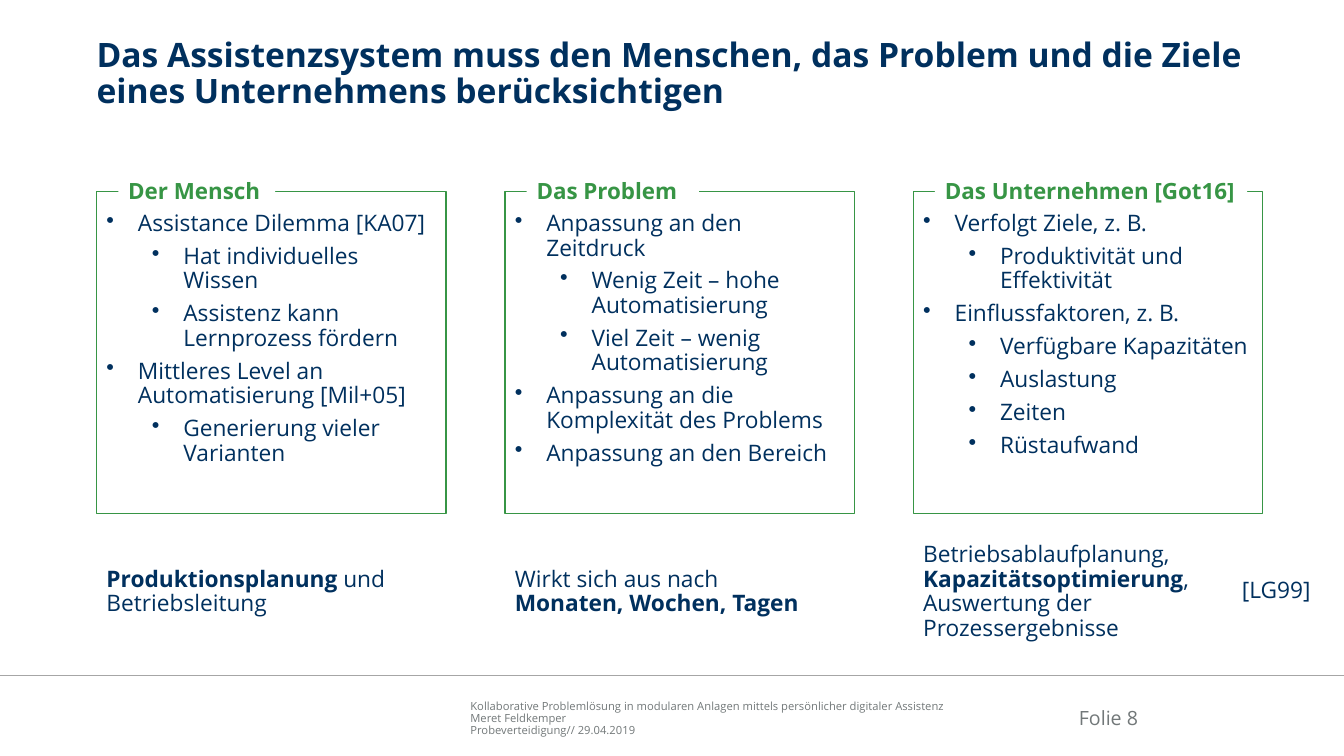
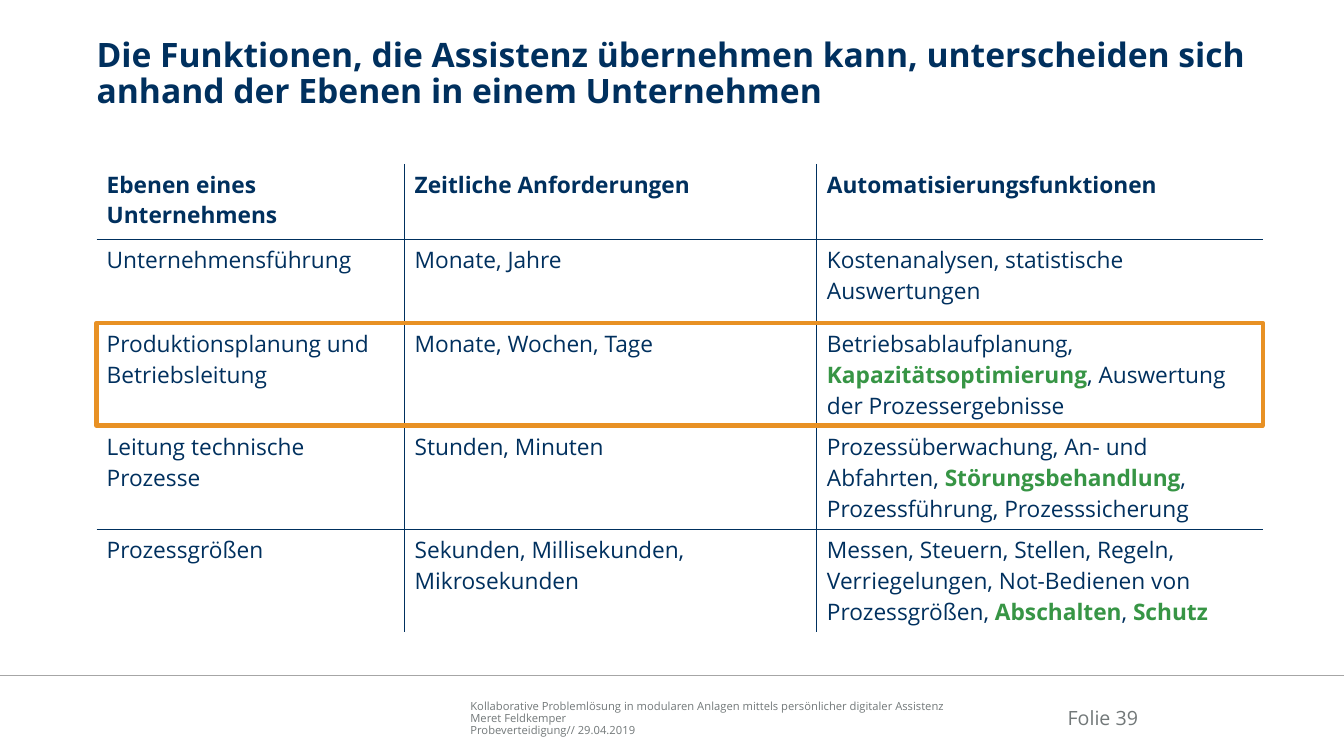
from lxml.etree import SubElement
from pptx import Presentation
from pptx.dml.color import RGBColor
from pptx.enum.shapes import MSO_CONNECTOR as Connector, MSO_SHAPE as Preset
from pptx.enum.text import MSO_ANCHOR as Anchor, PP_ALIGN as Align
from pptx.oxml.ns import qn
from pptx.util import Pt

COLORS = {"navy": "00305E", "green": "379545", "orange": "E89124",
          "gray": "727879", "rule": "A6A6A6", "white": "FFFFFF"}
FONT = "Open Sans"
SLIDE_SIZE = (960, 540)
LEFT, CONTENT_WIDTH = 69, 833
BULLET_HANG, BULLET_STEP = 22.5, 32.4
NO_INSETS = (0, 0, 0, 0)
TEXT_INSETS = (7.2, 3.6, 7.2, 3.6)
CARD_INSETS = (7.2, 14.4, 7.2, 3.6)

STYLES = {
    "title": {"size": Pt(24), "bold": True, "color": "navy"},
    "label": {"size": Pt(16), "bold": True, "color": "green"},
    "body": {"size": Pt(16.2), "bold": False, "color": "navy"},
    "heading": {"size": Pt(16.2), "bold": True, "color": "navy"},
    "footer": {"size": Pt(8), "bold": False, "color": "gray"},
    "number": {"size": Pt(14), "bold": False, "color": "gray"},
}
STRONG = {"bold": True}
GREEN_STRONG = {"bold": True, "color": "green"}

FOOTER = [
    "Kollaborative Problemlösung in modularen Anlagen mittels persönlicher digitaler Assistenz",
    "Meret Feldkemper",
    "Probeverteidigung// 29.04.2019",
]

CARDS = [
    ("Der Mensch", 112, [
        (0, "Assistance Dilemma [KA07]"),
        (1, "Hat individuelles Wissen"),
        (1, "Assistenz kann Lernprozess fördern"),
        (0, "Mittleres Level an Automatisierung [Mil+05]"),
        (1, "Generierung vieler Varianten"),
    ], "*Produktionsplanung* und\nBetriebsleitung"),
    ("Das Problem", 123, [
        (0, "Anpassung an den Zeitdruck"),
        (1, "Wenig Zeit – hohe Automatisierung"),
        (1, "Viel Zeit – wenig Automatisierung"),
        (0, "Anpassung an die Komplexität des Problems"),
        (0, "Anpassung an den Bereich"),
    ], "Wirkt sich aus nach\n*Monaten, Wochen, Tagen*"),
    ("Das Unternehmen [Got16]", 223, [
        (0, "Verfolgt Ziele, z. B."),
        (1, "Produktivität und Effektivität"),
        (0, "Einflussfaktoren, z. B."),
        (1, "Verfügbare Kapazitäten"),
        (1, "Auslastung"),
        (1, "Zeiten"),
        (1, "Rüstaufwand"),
    ], "Betriebsablaufplanung, *Kapazitätsoptimierung*, Auswertung der Prozessergebnisse"),
]

LEVELS = [
    ("Ebenen eines Unternehmens", "Zeitliche Anforderungen", "Automatisierungsfunktionen"),
    ("Unternehmensführung", "Monate, Jahre", "Kostenanalysen, statistische Auswertungen"),
    ("Produktionsplanung und Betriebsleitung", "Monate, Wochen, Tage",
     "Betriebsablaufplanung, *Kapazitätsoptimierung*, Auswertung der Prozessergebnisse"),
    ("Leitung technische Prozesse", "Stunden, Minuten",
     "Prozessüberwachung, An- und Abfahrten, *Störungsbehandlung*, "
     "Prozessführung, Prozesssicherung"),
    ("Prozessgrößen", "Sekunden, Millisekunden, Mikrosekunden",
     "Messen, Steuern, Stellen, Regeln, Verriegelungen, Not-Bedienen von "
     "Prozessgrößen, *Abschalten*, *Schutz*"),
]
COLUMN_WIDTHS = [220, 294.5, 318.5]
ROW_HEIGHTS = [54, 60, 73.5, 73.5, 73.5]


def rgb(name):
    """Return the named colour."""
    return RGBColor.from_string(COLORS[name])


def points(box):
    """Convert a box of numbers to point lengths."""
    return [Pt(value) for value in box]


def write_spans(para, text, style, strong=STRONG):
    """Write text into a paragraph, with starred parts emphasised."""
    for index, piece in enumerate(text.split("*")):
        values = {"name": FONT, **STYLES[style], **(strong if index % 2 else {})}
        color = values.pop("color")
        for number, line in enumerate(piece.split("\n")):
            if number:
                para.add_line_break()
            if line:
                span = para.add_run()
                span.text = line
                for name, value in values.items():
                    setattr(span.font, name, value)
                span.font.color.rgb = rgb(color)


def add_bullet(para, level):
    """Give a paragraph a hanging bullet at its level."""
    props = para._p.get_or_add_pPr()
    props.set("marL", str(Pt(BULLET_HANG + level * BULLET_STEP)))
    props.set("indent", str(-Pt(BULLET_HANG)))
    SubElement(props, qn("a:buChar")).set("char", "•")
    para.level = level


def fill_text(shape, items, style, insets=TEXT_INSETS, anchor=Anchor.TOP,
              align=Align.LEFT, wrap=True, bulleted=False):
    """Fill a shape with paragraphs, given as text or as level and text."""
    frame = shape.text_frame
    sides = ("margin_left", "margin_top", "margin_right", "margin_bottom")
    values = {"word_wrap": wrap, "vertical_anchor": anchor, **dict(zip(sides, points(insets)))}
    for name, value in values.items():
        setattr(frame, name, value)
    for index, item in enumerate(items):
        para = frame.add_paragraph() if index else frame.paragraphs[0]
        text = item
        if bulleted:
            level, text = item
            add_bullet(para, level)
            para.space_before = Pt(6 if index else 0)
        para.alignment = align
        para.line_spacing = 0.9
        write_spans(para, text, style)


def add_text(page, box, items, style, **options):
    """Add a text box."""
    fill_text(page.shapes.add_textbox(*points(box)), items, style, **options)


def add_panel(page, box, fill=None, line=None, width=1):
    """Add a rectangle with an optional fill and outline."""
    panel = page.shapes.add_shape(Preset.RECTANGLE, *points(box))
    panel.shadow.inherit = False
    if fill:
        panel.fill.solid()
        panel.fill.fore_color.rgb = rgb(fill)
    else:
        panel.fill.background()
    if line:
        panel.line.color.rgb = rgb(line)
        panel.line.width = Pt(width)
    else:
        panel.line.fill.background()
    return panel


def add_page(deck, title, number):
    """Add a slide with the shared title, rule and footer."""
    page = deck.slides.add_slide(deck.slide_layouts[6])
    rule = page.shapes.add_connector(Connector.STRAIGHT, *points((0, 482.5, 960, 482.5)))
    rule.line.color.rgb = rgb("rule")
    rule.line.width = Pt(1)
    SubElement(rule._element.spPr, qn("a:effectLst"))
    add_text(page, (336, 497.5, 354, 29), FOOTER, "footer",
             insets=NO_INSETS, anchor=Anchor.BOTTOM)
    add_text(page, (741.5, 496, 71.5, 25), [f"Folie {number}"], "number",
             insets=NO_INSETS, anchor=Anchor.BOTTOM, align=Align.RIGHT)
    add_text(page, (LEFT, 27.5, CONTENT_WIDTH, 54), [title], "title", insets=NO_INSETS)
    return page


def add_card(page, box, label, label_width, bullets):
    """Add a framed bullet list with a label set into its top edge."""
    left, top = box[:2]
    card = add_panel(page, box, "white", "green")
    fill_text(card, bullets, "body", insets=CARD_INSETS, bulleted=True)
    tab = add_panel(page, (left + 15.5, top - 13.5, label_width, 27), "white")
    fill_text(tab, [label], "label", anchor=Anchor.MIDDLE)


def add_cards(page, box, gap):
    """Add equal cards in a row with a summary below each."""
    left, top, width, height = box
    card_width = (width - gap * (len(CARDS) - 1)) / len(CARDS)
    for index, (label, label_width, bullets, summary) in enumerate(CARDS):
        card_left = left + index * (card_width + gap)
        add_card(page, (card_left, top, card_width, height), label, label_width, bullets)
        add_text(page, (card_left, top + height + 13, card_width, 86), [summary], "body",
                 anchor=Anchor.MIDDLE)
    add_text(page, (left + width - 22, top + height + 42, 64, 27), ["[LG99]"], "body",
             anchor=Anchor.MIDDLE, wrap=False)


def set_borders(cell, visible):
    """Draw the visible cell sides and clear the others."""
    props = cell._tc.get_or_add_tcPr()
    for position, side in enumerate(("L", "R", "T", "B")):
        line = SubElement(props, qn(f"a:ln{side}"), w=str(Pt(1)))
        props.insert(position, line)
        if side in visible:
            fill = SubElement(line, qn("a:solidFill"))
            SubElement(fill, qn("a:srgbClr")).set("val", COLORS["navy"])
        else:
            SubElement(line, qn("a:noFill"))


def add_levels_table(page, left, top):
    """Add the table of company levels with inner grid lines."""
    rows, columns = len(ROW_HEIGHTS), len(COLUMN_WIDTHS)
    box = (left, top, sum(COLUMN_WIDTHS), sum(ROW_HEIGHTS))
    table = page.shapes.add_table(rows, columns, *points(box)).table
    table.first_row = table.horz_banding = False
    for column, width in zip(table.columns, COLUMN_WIDTHS):
        column.width = Pt(width)
    for row, height in zip(table.rows, ROW_HEIGHTS):
        row.height = Pt(height)
    for r, texts in enumerate(LEVELS):
        for c, text in enumerate(texts):
            cell = table.cell(r, c)
            cell.fill.background()
            inner = {"L": c > 0, "R": c < columns - 1, "T": r > 0, "B": r < rows - 1}
            set_borders(cell, [side for side, shown in inner.items() if shown])
            write_spans(cell.text_frame.paragraphs[0], text,
                        "body" if r else "heading", GREEN_STRONG)


def main():
    """Build and save the deck."""
    deck = Presentation()
    deck.slide_width, deck.slide_height = points(SLIDE_SIZE)
    page = add_page(deck, "Das Assistenzsystem muss den Menschen, das Problem und die Ziele "
                          "eines Unternehmens berücksichtigen", 8)
    add_cards(page, (LEFT, 137, CONTENT_WIDTH, 230), 42)
    page = add_page(deck, "Die Funktionen, die Assistenz übernehmen kann, unterscheiden sich "
                          "anhand der Ebenen in einem Unternehmen", 39)
    add_levels_table(page, LEFT, 117)
    add_panel(page, (LEFT, 230.5, CONTENT_WIDTH, 73.5), line="orange", width=3)
    deck.save("out.pptx")


if __name__ == "__main__":
    main()
